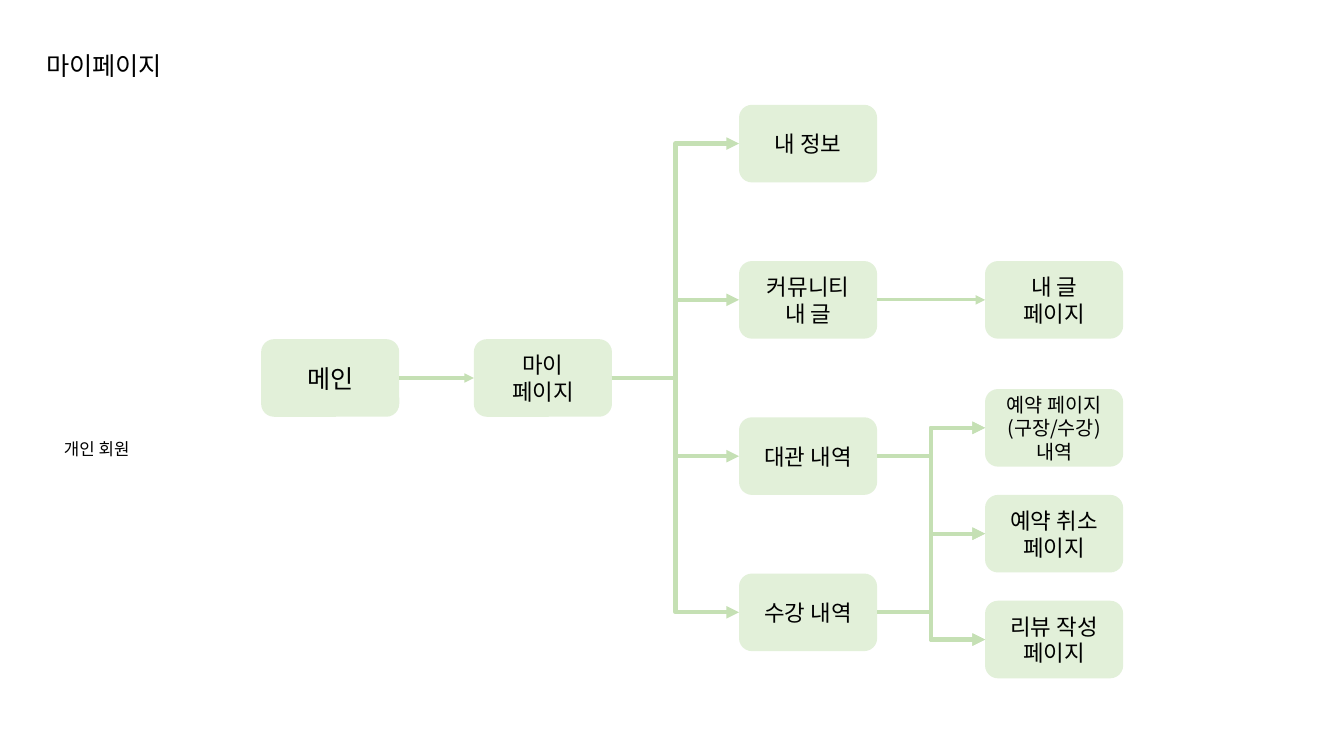
from lxml.etree import SubElement
from pptx import Presentation
from pptx.dml.color import RGBColor
from pptx.enum.shapes import MSO_CONNECTOR as Link, MSO_SHAPE as Shape
from pptx.enum.text import MSO_ANCHOR as Anchor, MSO_AUTO_SIZE as AutoSize, PP_ALIGN as Align
from pptx.oxml.ns import qn
from pptx.util import Inches, Pt

THEME = {
    "font": "Noto Sans CJK KR",
    "text": RGBColor(0x00, 0x00, 0x00),
    "box": RGBColor(0xE2, 0xF0, 0xD9),
    "arrow": RGBColor(0xC5, 0xE0, 0xB4),
    "large": 18, "normal": 16, "compact": 14, "note": 12,
    "thin": 2.25, "thick": 3,
}
BOX_WIDTH, BOX_HEIGHT = 1.37, 0.77
COLUMNS = [2.59, 4.7, 7.33, 9.77]
TOP, ROW = 1.04, 1.55
DETAIL_TOP, DETAIL_ROW = 3.86, 1.05
RIGHT_SITE, LEFT_SITE = 3, 1

deck = Presentation()
deck.slide_width, deck.slide_height = Inches(13.33), Inches(7.5)
page = deck.slides.add_slide(deck.slide_layouts[6])


def write(frame, text, size, align):
    frame.text = text
    for para in frame.paragraphs:
        para.alignment = align
        for span in para.runs:
            span.font.name = THEME["font"]
            span.font.size = Pt(THEME[size])
            span.font.color.rgb = THEME["text"]
            east_asian = SubElement(span.font._element, qn("a:ea"))
            east_asian.set("typeface", THEME["font"])


def connect(source, target, kind, weight):
    """Draw an arrow from the right side of source to the left side of target."""
    arrow = page.shapes.add_connector(kind, 0, 0, 0, 0)
    arrow.begin_connect(source, RIGHT_SITE)
    arrow.end_connect(target, LEFT_SITE)
    arrow.line.color.rgb = THEME["arrow"]
    arrow.line.width = Pt(THEME[weight])
    SubElement(arrow.line._get_or_add_ln(), qn("a:tailEnd")).set("type", "triangle")
    SubElement(arrow._element.spPr, qn("a:effectLst"))


# Name: (text, column, top, type size)
steps = {
    "main": ("메인", 0, TOP + 1.5 * ROW, "large"),
    "my_page": ("마이\n페이지", 1, TOP + 1.5 * ROW, "normal"),
    "my_info": ("내 정보", 2, TOP, "normal"),
    "community": ("커뮤니티\n내 글", 2, TOP + ROW, "normal"),
    "rentals": ("대관 내역", 2, TOP + 2 * ROW, "normal"),
    "lessons": ("수강 내역", 2, TOP + 3 * ROW, "normal"),
    "my_posts": ("내 글\n페이지", 3, TOP + ROW, "normal"),
    "booking": ("예약 페이지\n(구장/수강)내역", 3, DETAIL_TOP, "compact"),
    "cancel": ("예약 취소\n페이지", 3, DETAIL_TOP + DETAIL_ROW, "normal"),
    "review": ("리뷰 작성 페이지", 3, DETAIL_TOP + 2 * DETAIL_ROW, "normal"),
}
boxes = {}
for name, (text, column, top, size) in steps.items():
    box = page.shapes.add_shape(Shape.ROUNDED_RECTANGLE, Inches(COLUMNS[column]),
                                Inches(top), Inches(BOX_WIDTH), Inches(BOX_HEIGHT))
    box.shadow.inherit = False
    box.fill.solid()
    box.fill.fore_color.rgb = THEME["box"]
    box.line.fill.background()
    box.text_frame.word_wrap = True
    box.text_frame.vertical_anchor = Anchor.MIDDLE
    write(box.text_frame, text, size, Align.CENTER)
    boxes[name] = box

branches = {
    "my_page": ["my_info", "community", "rentals", "lessons"],
    "rentals": ["booking", "cancel", "review"],
    "lessons": ["booking", "cancel", "review"],
}
for source, targets in branches.items():
    for target in targets:
        connect(boxes[source], boxes[target], Link.ELBOW, "thick")
for source, target in [("main", "my_page"), ("community", "my_posts")]:
    connect(boxes[source], boxes[target], Link.STRAIGHT, "thin")

labels = [
    ("마이페이지", 0.36, 0.45, 1.46, 0.4, "large", Align.LEFT, False),
    ("개인 회원", 0.46, 4.3, 1, 0.3, "note", Align.CENTER, True),
]
for text, left, top, width, height, size, align, wrap in labels:
    label = page.shapes.add_textbox(Inches(left), Inches(top), Inches(width), Inches(height))
    label.text_frame.word_wrap = wrap
    label.text_frame.auto_size = AutoSize.SHAPE_TO_FIT_TEXT
    write(label.text_frame, text, size, align)

deck.save("out.pptx")
